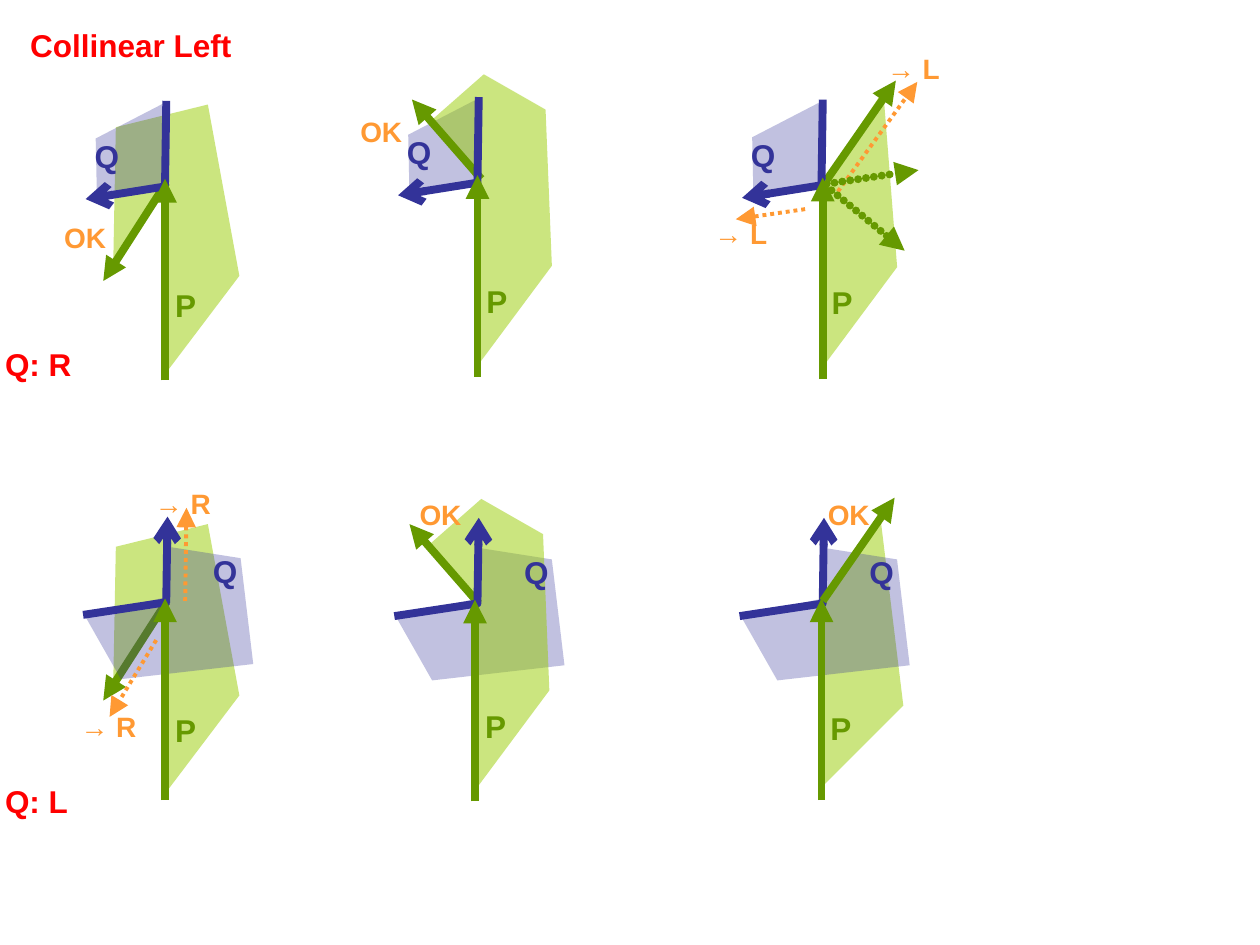
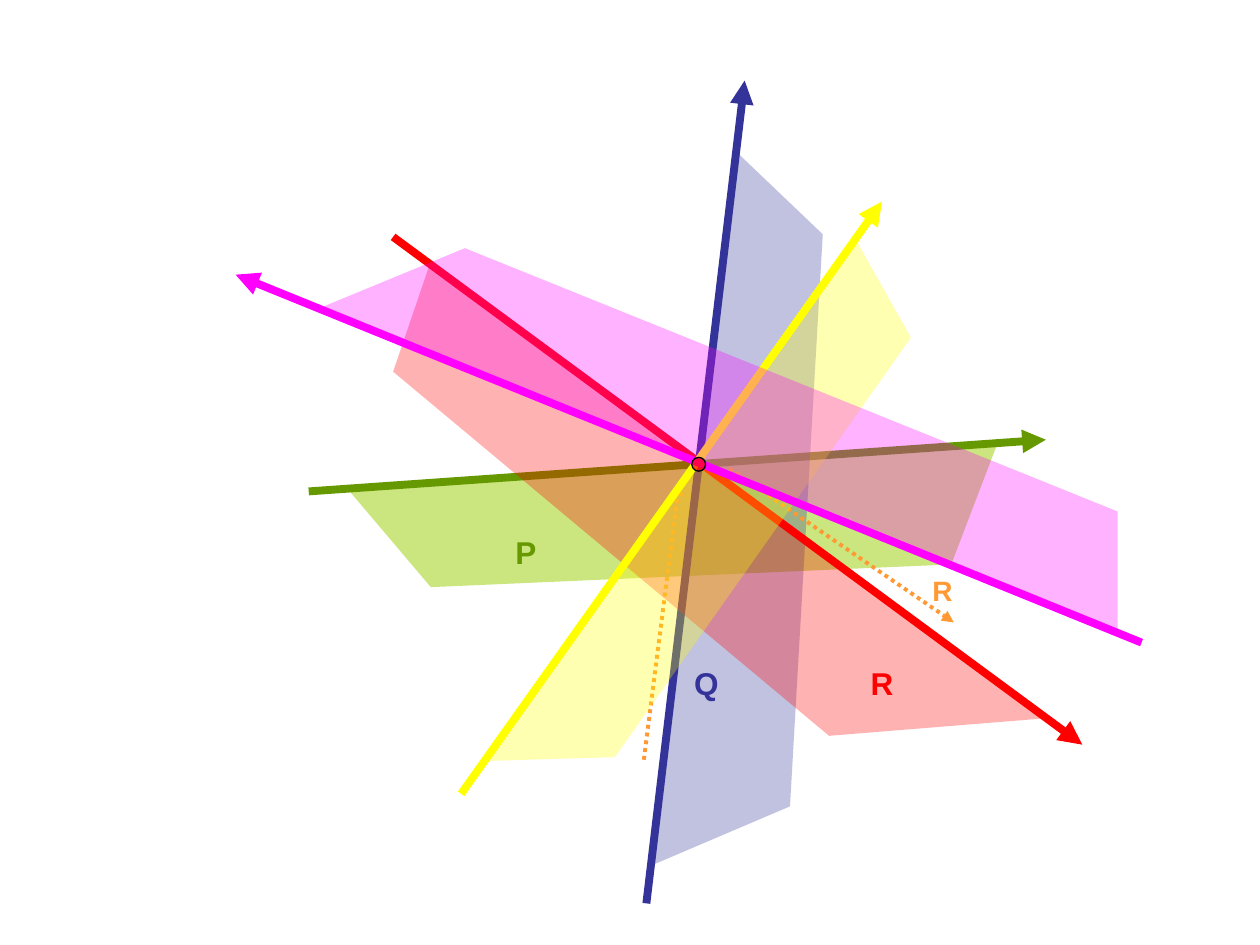
from dataclasses import dataclass

from lxml.etree import SubElement
from pptx import Presentation
from pptx.dml.color import RGBColor
from pptx.enum.dml import MSO_LINE
from pptx.enum.shapes import MSO_CONNECTOR, MSO_SHAPE
from pptx.enum.text import MSO_ANCHOR, PP_ALIGN
from pptx.oxml.ns import qn
from pptx.util import Pt

PX = 9144  # 100 px to the inch


@dataclass(frozen=True)
class Theme:
    font: str = "Arial"
    red: str = "FF0000"
    green: str = "669900"
    lime: str = "99CC00"
    blue: str = "333399"
    orange: str = "FF9933"
    yellow: str = "FFFF00"
    magenta: str = "FF00FF"
    black: str = "000000"
    label: int = 18
    note: int = 16
    thick: float = 4.5
    thin: float = 2.25
    outline: float = 0.75


@dataclass(frozen=True)
class Box:
    left: int
    top: int

    def at(self, point):
        return self.left + point[0], self.top + point[1]


THEME = Theme()
LABEL_WIDTHS = {"Collinear Left": 164, "Q: R": 56, "Q: L": 53, "P": 18, "Q": 21,
                "R": 19, "OK": 38, "→ R": 50, "→ L": 48}


# Shared drawing helpers
def rgb(color):
    return RGBColor.from_string(color)


def add_label(slide, box, point, text, color, size=THEME.label):
    left, top = box.at(point)
    height = 30 if size == THEME.label else 27
    shape = slide.shapes.add_textbox(left * PX, top * PX, LABEL_WIDTHS[text] * PX, height * PX)
    frame = shape.text_frame
    frame.word_wrap = True
    frame.vertical_anchor = MSO_ANCHOR.TOP
    frame.margin_left = frame.margin_right = frame.margin_top = frame.margin_bottom = 0
    paragraph = frame.paragraphs[0]
    paragraph.alignment = PP_ALIGN.LEFT
    run = paragraph.add_run()
    run.text = text
    run.font.name = THEME.font
    run.font.size = Pt(size)
    run.font.bold = True
    run.font.color.rgb = rgb(color)


def fill_shape(shape, color, opacity):
    shape.shadow.inherit = False
    shape.fill.solid()
    shape.fill.fore_color.rgb = rgb(color)
    color_node = shape.fill._xPr.find(qn("a:solidFill"))[0]
    SubElement(color_node, qn("a:alpha"), val=str(opacity * 1000))


def add_outline(slide, box, points, close):
    start, *rest = [box.at(point) for point in points]
    builder = slide.shapes.build_freeform(*start, scale=PX)
    builder.add_line_segments(rest, close=close)
    return builder.convert_to_shape()


def add_plane(slide, box, points, color, opacity=30):
    plane = add_outline(slide, box, points, close=True)
    fill_shape(plane, color, opacity)
    plane.line.fill.background()


def style_arrow(line, color, width, head="triangle", head_size="med"):
    line.color.rgb = rgb(color)
    line.width = Pt(width)
    SubElement(line._get_or_add_ln(), qn("a:tailEnd"), type=head, w=head_size, len=head_size)


def set_square_dots(line):
    line.dash_style = MSO_LINE.ROUND_DOT


def set_touching_dots(line):
    line_node = line._get_or_add_ln()
    line_node.set("cap", "rnd")
    dashes = SubElement(line_node, qn("a:custDash"))
    SubElement(dashes, qn("a:ds"), d="100000", sp="1000")


def add_arrow(slide, box, points, color, width=THEME.thick, set_dots=None, head_size="med"):
    ends = [value * PX for point in points for value in box.at(point)]
    arrow = slide.shapes.add_connector(MSO_CONNECTOR.STRAIGHT, *ends)
    arrow.line.color.rgb = rgb(color)
    if set_dots:
        set_dots(arrow.line)
    style_arrow(arrow.line, color, width, head_size=head_size)
    SubElement(arrow._element.spPr, qn("a:effectLst"))


def add_bent_arrow(slide, box, points, color):
    bend = add_outline(slide, box, points, close=False)
    bend.shadow.inherit = False
    bend.fill.background()
    style_arrow(bend.line, color, THEME.thick, head="arrow")


def add_turn(slide, box, points, head_size="med"):
    add_arrow(slide, box, points, THEME.orange, THEME.thin, set_square_dots, head_size)


# Shapes of Q, measured from its bend
@dataclass(frozen=True)
class Blue:
    axes: tuple
    plane: tuple
    label: tuple


Q_RIGHT = Blue(((1, -68), (0, 0), (-63, 10)),
               ((1, -67), (-1, -1), (-54, 9), (-55, -38)), (-56, -39))
Q_LEFT = Blue(((-66, 10), (0, 0), (1, -68)),
              ((0, -4), (2, -44), (59, -35), (69, 49), (-36, 61), (-65, 10)), (37, -40))


# Shapes of P, measured from the top of its shaft
@dataclass(frozen=True)
class Green:
    plane: tuple
    fold: tuple


FOLD_DOWN = Green(((0, 149), (0, 2), (-41, 57), (-39, -47), (34, -65), (59, 71)),
                  ((1, -3), (-49, 75)))
FOLD_BACK = Green(((1, 144), (-1, -2), (-36, -50), (5, -86), (54, -58), (59, 66)),
                  ((3, -3), (-52, -66)))
FOLD_RIGHT = Green(((1, 143), (0, -3), (48, -75), (59, 65)), ((3, -4), (58, -83)))
FOLD_RIGHT_LOW = Green(((1, 143), (-1, -5), (47, -69), (65, 79)), ((1, -4), (58, -86)))


@dataclass(frozen=True)
class Case:
    q_box: Box
    p_box: Box
    p_label: tuple
    blue: Blue
    green: Green
    order: tuple
    notes: tuple         # text, place
    turns: tuple = ()    # dotted orange arrows
    options: tuple = ()  # dotted green arrows


P_FIRST = ("P plane", "fold", "axes", "Q plane")
Q_FIRST = ("Q plane", "P plane", "fold", "axes")
FOLD_LAST = ("P plane", "axes", "Q plane", "fold")

CASES = (
    Case(Box(131, 148), Box(131, 148), (8, 79), Q_RIGHT, FOLD_DOWN, P_FIRST,
         (("OK", (-80, 27)),)),
    Case(Box(379, 145), Box(379, 145), (7, 79), Q_RIGHT, FOLD_BACK, Q_FIRST,
         (("OK", (-93, -54)),)),
    Case(Box(652, 147), Box(653, 147), (7, 78), Q_RIGHT, FOLD_RIGHT, P_FIRST,
         (("→ L", (52, -106)), ("→ L", (-85, 25))),
         turns=(((13, 5), (76, -82)), ((-13, 19), (-68, 27))),
         options=(((3, 0), (66, 52)), ((4, -1), (77, -12)))),
    Case(Box(132, 478), Box(131, 481), (8, 83), Q_LEFT, FOLD_DOWN, P_FIRST,
         (("→ R", (-68, 85)), ("→ R", (-9, -92))),
         turns=(((-8, 30), (-45, 91)), ((15, -1), (16, -75)))),
    Case(Box(379, 479), Box(377, 482), (8, 79), Q_LEFT, FOLD_BACK, Q_FIRST,
         (("OK", (-46, -84)),)),
    Case(Box(653, 479), Box(652, 481), (7, 82), Q_LEFT, FOLD_RIGHT_LOW, FOLD_LAST,
         (("OK", (4, -84)),)),
)


def draw_case(slide, case):
    q_box, p_box, blue, green = case.q_box, case.p_box, case.blue, case.green
    steps = {
        "P plane": lambda: add_plane(slide, p_box, green.plane, THEME.lime, 50),
        "fold": lambda: add_arrow(slide, p_box, green.fold, THEME.green),
        "axes": lambda: add_bent_arrow(slide, q_box, blue.axes, THEME.blue),
        "Q plane": lambda: add_plane(slide, q_box, blue.plane, THEME.blue),
    }
    for step in case.order:
        steps[step]()
    add_label(slide, q_box, blue.label, "Q", THEME.blue)
    add_label(slide, p_box, case.p_label, "P", THEME.green)
    for turn in case.turns:
        add_turn(slide, q_box, turn, head_size="lg")
    for text, place in case.notes:
        add_label(slide, q_box, place, text, THEME.orange, THEME.note)
    add_arrow(slide, p_box, ((0, 154), (0, -6)), THEME.green)
    for option in case.options:
        add_arrow(slide, q_box, option, THEME.green, set_dots=set_touching_dots)


def draw_collinear_slide(slide, box):
    for text, place in (("Collinear Left", (24, 21)), ("Q: R", (4, 274)), ("Q: L", (4, 621))):
        add_label(slide, box, place, text, THEME.red)
    for case in CASES:
        draw_case(slide, case)


# Planes through one common point
def draw_crossing_slide(slide, box):
    # P
    add_plane(slide, box, ((275, 387), (342, 466), (755, 448), (792, 351)), THEME.lime, 50)
    add_label(slide, box, (409, 423), "P", THEME.green)
    add_arrow(slide, box, ((245, 390), (830, 349)), THEME.green)
    # Q
    add_arrow(slide, box, ((513, 717), (591, 64)), THEME.blue)
    add_plane(slide, box, ((519, 686), (586, 122), (653, 186), (627, 640)), THEME.blue)
    add_label(slide, box, (551, 527), "Q", THEME.blue)
    # R
    add_arrow(slide, box, ((312, 188), (859, 591)), THEME.red)
    add_plane(slide, box, ((341, 210), (831, 570), (658, 584), (312, 295)), THEME.red)
    add_label(slide, box, (691, 527), "R", THEME.red)
    # Turns
    add_turn(slide, box, ((511, 603), (539, 384)))
    add_turn(slide, box, ((579, 372), (757, 494)))
    add_label(slide, box, (740, 455), "R", THEME.orange, THEME.note)
    # Two unnamed planes
    add_arrow(slide, box, ((366, 630), (700, 160)), THEME.yellow)
    add_plane(slide, box, ((387, 604), (678, 188), (723, 268), (488, 601)), THEME.yellow)
    add_arrow(slide, box, ((906, 510), (187, 218)), THEME.magenta)
    add_plane(slide, box, ((887, 500), (255, 244), (369, 197), (887, 406)), THEME.magenta)
    # Common point
    left, top = box.at((549, 363))
    dot = slide.shapes.add_shape(MSO_SHAPE.OVAL, left * PX, top * PX, 11 * PX, 11 * PX)
    fill_shape(dot, THEME.red, 70)
    dot.line.color.rgb = rgb(THEME.black)
    dot.line.width = Pt(THEME.outline)


def main():
    presentation = Presentation()
    presentation.slide_width, presentation.slide_height = 1000 * PX, 750 * PX
    for draw in (draw_collinear_slide, draw_crossing_slide):
        slide = presentation.slides.add_slide(presentation.slide_layouts[6])
        draw(slide, Box(0, 0))
    presentation.save("out.pptx")


if __name__ == "__main__":
    main()
